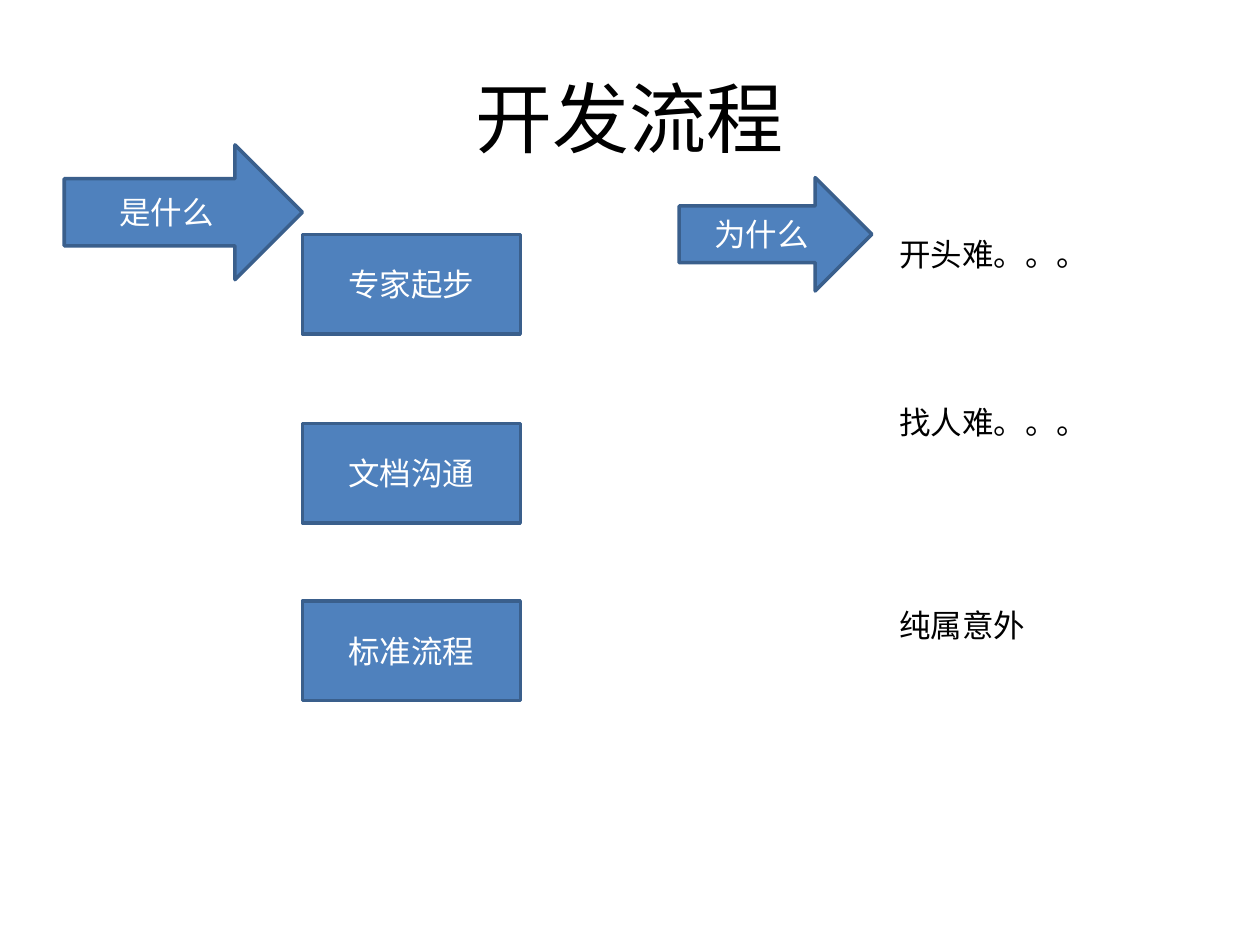
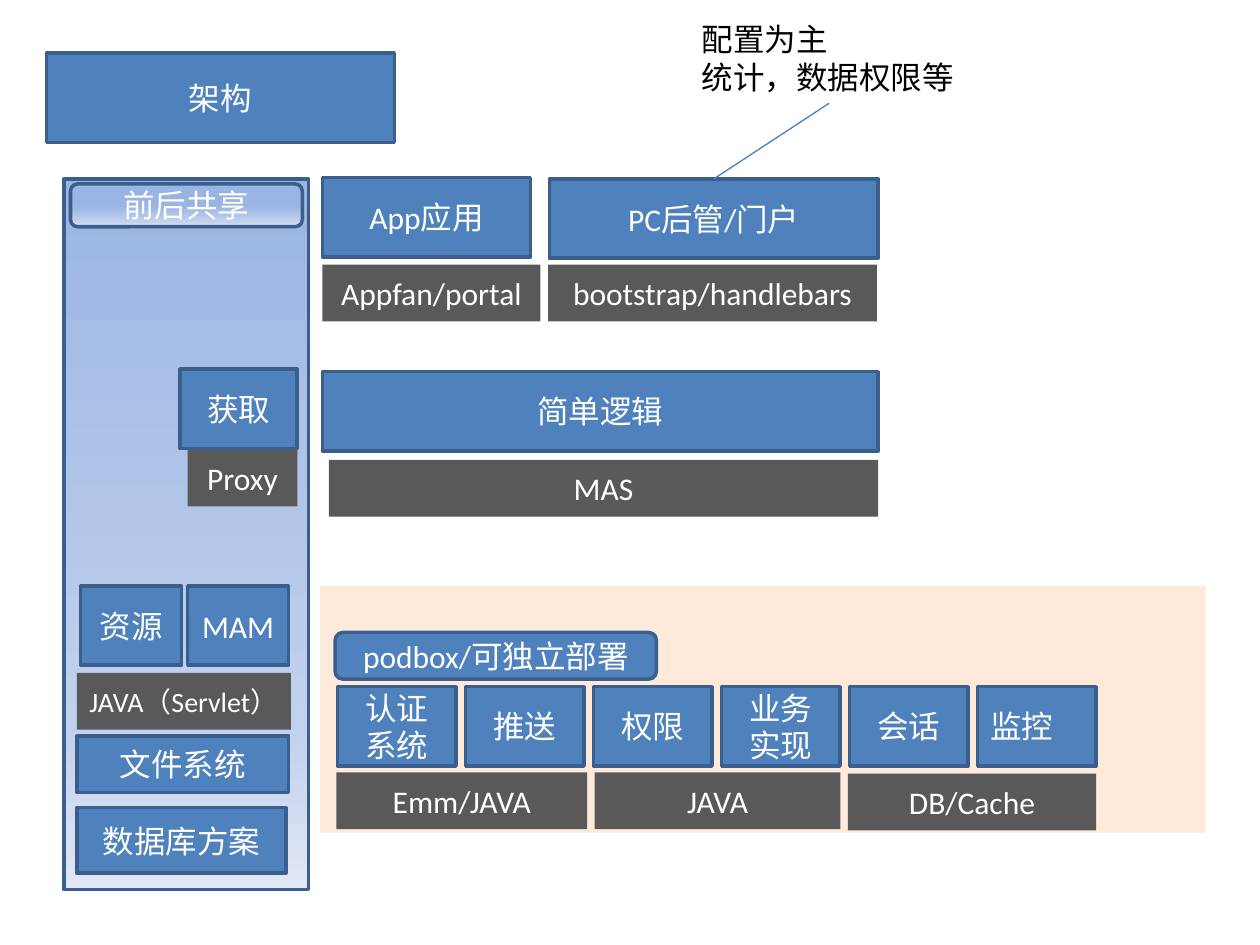
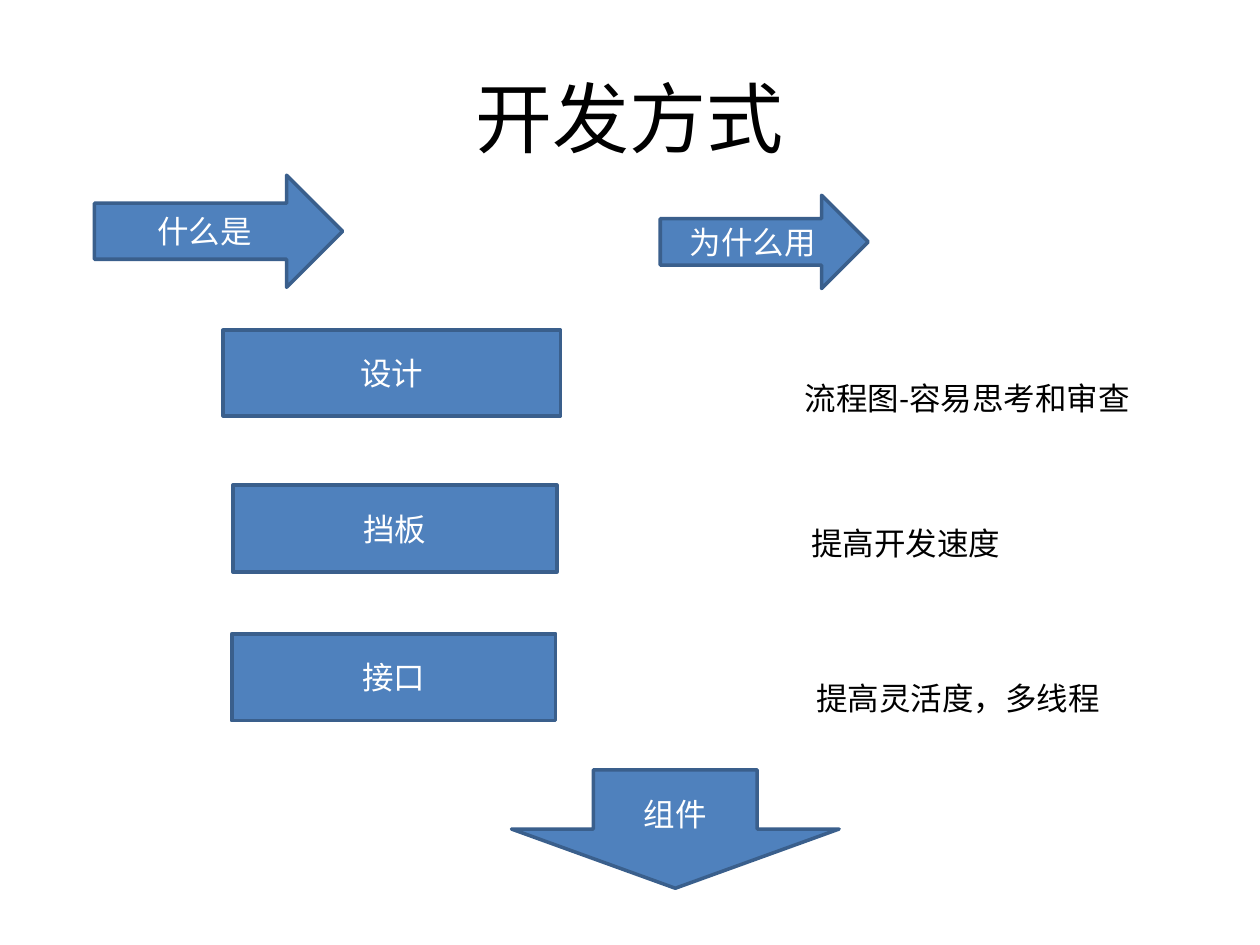
from dataclasses import dataclass
from typing import Any, Optional

from lxml import etree
from pptx import Presentation
from pptx.dml.color import RGBColor
from pptx.enum.shapes import MSO_CONNECTOR, MSO_SHAPE
from pptx.enum.text import MSO_ANCHOR, MSO_AUTO_SIZE, PP_ALIGN
from pptx.oxml.ns import qn
from pptx.util import Inches, Pt

RECT, ROUND = MSO_SHAPE.RECTANGLE, MSO_SHAPE.ROUNDED_RECTANGLE
RIGHT, DOWN = MSO_SHAPE.RIGHT_ARROW, MSO_SHAPE.DOWN_ARROW
LEFT, CENTER, JUSTIFY = PP_ALIGN.LEFT, PP_ALIGN.CENTER, PP_ALIGN.JUSTIFY
TOP, MIDDLE = MSO_ANCHOR.TOP, MSO_ANCHOR.MIDDLE
GROW, FIXED = MSO_AUTO_SIZE.SHAPE_TO_FIT_TEXT, MSO_AUTO_SIZE.NONE
STRAIGHT = MSO_CONNECTOR.STRAIGHT

# Grid of square cells, 100 columns by 75 rows
WIDE, HIGH = Inches(10), Inches(7.5)
CELL = WIDE / 100

FONT = "Calibri"
COLORS = {
    "blue": "4F81BD", "edge": "3A5F8C", "link": "4B7EBC", "gray": "595959",
    "peach": "FDEADA", "white": "FFFFFF", "black": "000000",
    "deep": "9AB5E4", "mid": "C2D1ED", "pale": "E1E8F5",
}
FADES = {
    "tall": ((0, "deep"), (78, "mid"), (100, "pale")),
    "short": ((51, "deep"), (89, "mid"), (100, "pale")),
}


@dataclass(frozen=True)
class Part:
    """A filled shape; place and size are in cells."""
    text: str
    x: float
    y: float
    w: float
    h: float
    fill: str = "blue"
    edge: Optional[str] = "edge"
    form: Any = RECT
    align: Any = CENTER
    size: int = 18
    wrap: bool = True


@dataclass(frozen=True)
class Note:
    """Plain black text; place and size are in cells."""
    text: str
    x: float
    y: float
    w: float
    h: float = 4
    size: int = 18
    align: Any = LEFT
    anchor: Any = TOP
    fit: Any = GROW
    wrap: bool = False


def apply(item: Any, vals: dict) -> None:
    for key, val in vals.items():
        setattr(item, key, val)


def color(name: str) -> RGBColor:
    return RGBColor.from_string(COLORS[name])


def place(part: Any) -> list[int]:
    return [round(v * CELL) for v in (part.x, part.y, part.w, part.h)]


def write(shape: Any, part: Any, ink: str, frame: dict) -> None:
    body = shape.text_frame
    apply(body, {"word_wrap": part.wrap, **frame})
    body.text = part.text
    for para in body.paragraphs:
        para.alignment = part.align
        for run in para.runs:
            apply(run.font, {"name": FONT, "size": Pt(part.size)})
            run.font.color.rgb = color(ink)


def fade(shape: Any, stops: tuple) -> None:
    shape.fill.gradient()
    shape.fill.gradient_angle = 270
    group = shape.element.spPr.find(qn("a:gradFill")).find(qn("a:gsLst"))
    for old in list(group):
        group.remove(old)
    for share, name in stops:
        stop = etree.SubElement(group, qn("a:gs"), pos=str(share * 1000))
        etree.SubElement(stop, qn("a:srgbClr"), val=COLORS[name])


def draw(slide: Any, part: Part) -> Any:
    shape = slide.shapes.add_shape(part.form, *place(part))
    shape.shadow.inherit = False
    if part.fill in FADES:
        fade(shape, FADES[part.fill])
    else:
        shape.fill.solid()
        shape.fill.fore_color.rgb = color(part.fill)
    if part.edge:
        shape.line.color.rgb = color(part.edge)
        shape.line.width = Pt(2)
    else:
        shape.line.fill.background()
    if part.text:
        write(shape, part, "white", {"vertical_anchor": MIDDLE})
    return shape


def label(slide: Any, note: Note) -> Any:
    box = slide.shapes.add_textbox(*place(note))
    write(box, note, "black",
          {"vertical_anchor": note.anchor, "auto_size": note.fit})
    return box


def head(slide: Any, text: str) -> None:
    label(slide, Note(text, 5, 3, 90, 12.5, 44, CENTER, MIDDLE, FIXED, True))


def link(slide: Any, start: Any, end: Any) -> None:
    """Join the bottom of one box to the top of another."""
    line = slide.shapes.add_connector(STRAIGHT, 0, 0, 0, 0)
    line.begin_connect(start, 2)
    line.end_connect(end, 0)
    line.line.color.rgb = color("link")
    line.line.width = Pt(0.75)
    etree.SubElement(line.element.spPr, qn("a:effectLst"))


def tech(text: str, x: float, y: float, w: float, size: int = 18) -> Part:
    """Gray strip that names the tools under a block, on one line."""
    return Part(text, x, y, w, 4.5, "gray", None, size=size, wrap=False)


def fill(slide: Any, parts: list[Part], notes: list[Note]) -> None:
    for part in parts:
        draw(slide, part)
    for note in notes:
        label(slide, note)


def flow(slide: Any) -> None:
    head(slide, "开发流程")
    steps = zip(("专家起步", "文档沟通", "标准流程"), (18.6, 33.6, 47.7))
    parts = [Part(text, 24, y, 17.3, 7.9) for text, y in steps]
    parts += [
        Part("是什么", 5.1, 11.5, 18.9, 10.7, form=RIGHT),
        Part("为什么", 53.9, 14.1, 15.3, 9, form=RIGHT),
    ]
    fill(slide, parts, [
        Note("开头难。。。", 70.4, 18.2, 17.2),
        Note("找人难。。。", 70.4, 31.5, 17.2),
        Note("纯属意外", 70.4, 47.6, 12.1),
    ])


def stack(slide: Any) -> None:
    # Back panels and heading
    fill(slide, [
        Part("", 25.4, 46.5, 70.3, 19.6, "peach", None),
        Part("", 5.1, 14.2, 19.4, 56.4, "tall"),
        Part("架构", 3.7, 4.2, 27.6, 7.1),
    ], [])

    # Portal block with its remark
    portal = draw(slide, Part("PC后管/门户", 43.6, 14.2, 26.1, 6.3))
    remark = label(slide, Note("配置为主\n统计，数据权限等", 54.7, 1.1, 22.2, 7.1))
    link(slide, remark, portal)

    # Front end and logic
    parts = [
        Part("App应用", 25.6, 14.1, 16.5, 6.3),
        tech("Appfan/portal", 25.6, 21, 17.3),
        tech("bootstrap/handlebars", 43.5, 21, 26.1),
        Part("简单逻辑", 25.6, 29.5, 44.1, 6.3),
        tech("MAS", 26.1, 36.5, 43.6),
    ]
    # Shared column
    parts += [
        Part("前后共享", 5.6, 14.6, 18.4, 3.4, "short", form=ROUND),
        Part("获取", 14.3, 29.3, 9.3, 6.3),
        tech("Proxy", 14.9, 35.7, 8.7),
        Part("资源", 6.4, 46.5, 8, 6.3),
        Part("MAM", 14.9, 46.5, 8, 6.3),
        tech("JAVA（Servlet）", 6.1, 53.4, 17, 16),
        Part("文件系统", 6.1, 58.4, 16.8, 4.5),
        Part("数据库方案", 6.1, 64.1, 16.6, 5.2),
    ]
    # Services, one per column
    names = ("认证系统", "推送", "权限", "业务实现", "会话", "监控")
    parts += [
        Part(name, 26.8 + 10.16 * i, 54.5, 9.4, 6.3,
             align=JUSTIFY if name == names[-1] else CENTER)
        for i, name in enumerate(names)
    ]
    parts += [
        Part("podbox/可独立部署", 26.6, 50.2, 25.5, 3.7, form=ROUND),
        tech("Emm/JAVA", 26.7, 61.3, 19.9),
        tech("JAVA", 47.2, 61.3, 19.5),
        tech("DB/Cache", 67.3, 61.4, 19.7),
    ]
    fill(slide, parts, [])


def method(slide: Any) -> None:
    head(slide, "开发方式")
    fill(slide, [
        Part("设计", 17.7, 26.2, 26.8, 6.8),
        Part("挡板", 18.5, 38.5, 25.7, 6.9),
        Part("接口", 18.4, 50.3, 25.7, 6.9),
        Part("什么是", 7.5, 13.9, 19.7, 8.9, form=RIGHT),
        Part("为什么用", 52.4, 15.5, 16.5, 7.4, form=RIGHT),
        Part("组件", 40.6, 61.1, 26, 9.4, form=DOWN),
    ], [
        Note("流程图-容易思考和审查", 62.9, 29.6, 28, wrap=True),
        Note("提高开发速度", 63.4, 41.1, 17.2),
        Note("提高灵活度，多线程", 63.8, 53.4, 24.7),
    ])


def main() -> None:
    deck = Presentation()
    apply(deck, {"slide_width": WIDE, "slide_height": HIGH})
    for build in (flow, stack, method):
        build(deck.slides.add_slide(deck.slide_layouts[6]))
    deck.save("out.pptx")


if __name__ == "__main__":
    main()
